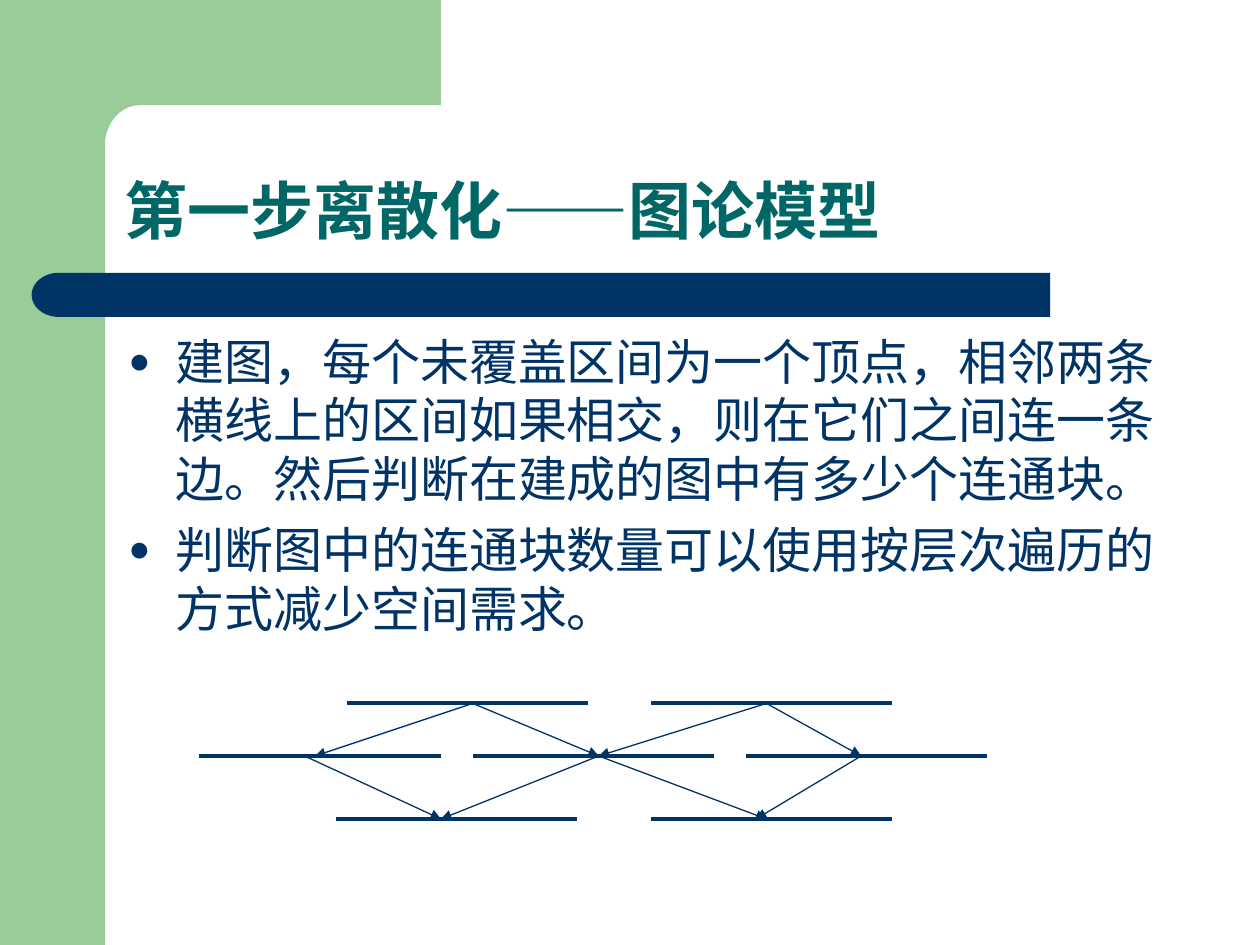
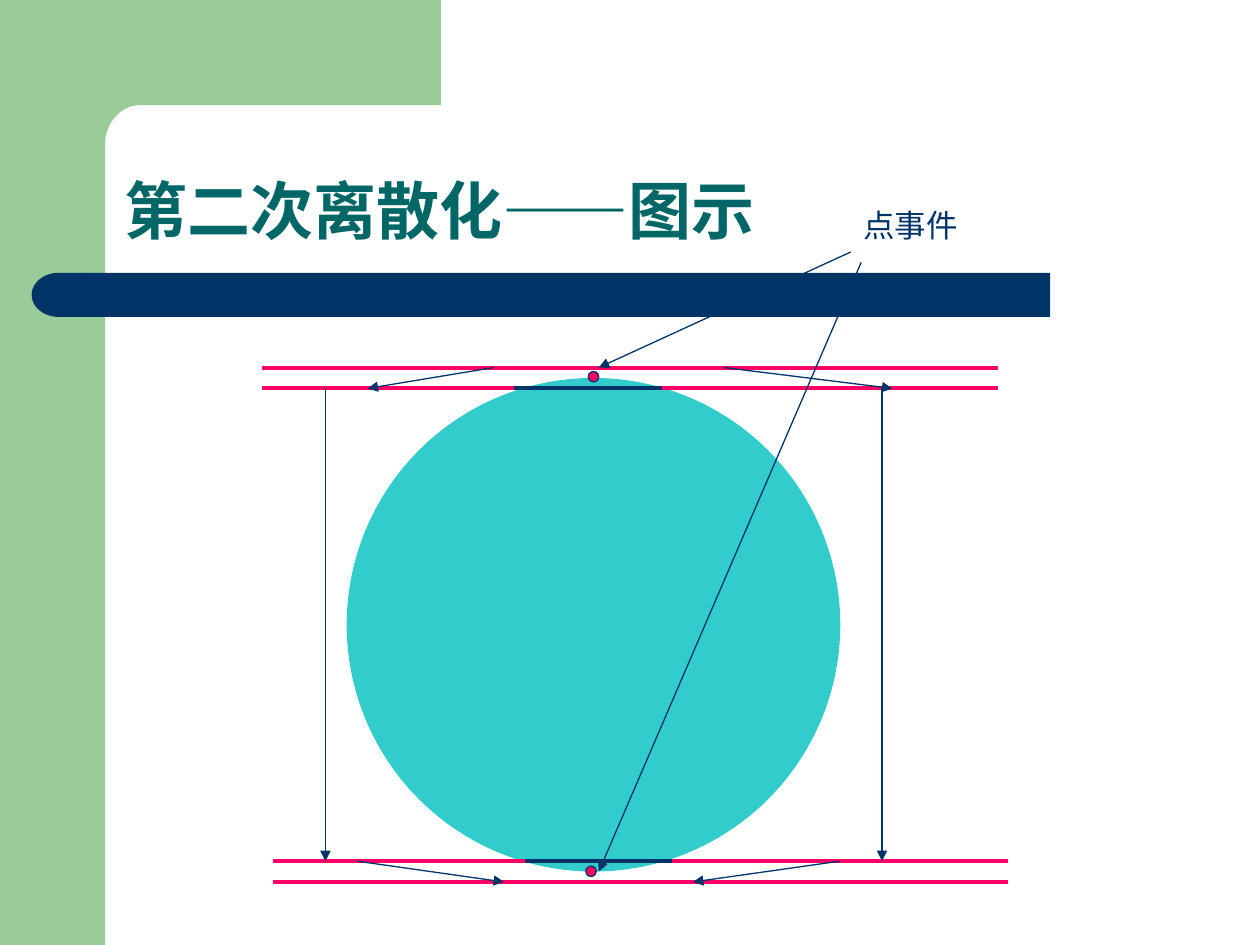
from math import cos, pi, sin

from lxml.etree import SubElement
from pptx import Presentation
from pptx.dml.color import RGBColor
from pptx.enum.shapes import MSO_CONNECTOR, MSO_SHAPE as Preset
from pptx.enum.text import MSO_ANCHOR as Anchor
from pptx.oxml.ns import qn
from pptx.util import Cm, Pt

COLOURS = {
    "green": "99CC99",
    "navy": "003366",
    "title": "006666",
    "disc": "33CCCC",
    "pink": "FF0066",
}
FONT = "Arial"
THICK, THIN = 2.25, 0.75


def paint(shape, fill, outline=None):
    shape.shadow.inherit = False
    shape.fill.solid()
    shape.fill.fore_color.rgb = RGBColor.from_string(COLOURS[fill])
    if outline:
        shape.line.color.rgb = RGBColor.from_string(COLOURS[outline])
        shape.line.width = Pt(THIN)
    else:
        shape.line.fill.background()


def draw_line(page, start, end, colour="navy", arrow=False):
    """Draw a thick bar, or a thin line with an arrowhead at its end."""
    line = page.shapes.add_connector(
        MSO_CONNECTOR.STRAIGHT, *[Cm(value) for value in (*start, *end)])
    line.line.color.rgb = RGBColor.from_string(COLOURS[colour])
    line.line.width = Pt(THIN if arrow else THICK)
    if arrow:
        SubElement(line.line._get_or_add_ln(), qn("a:tailEnd"), type="triangle")
    SubElement(line._element.spPr, qn("a:effectLst"))


deck = Presentation()
deck.slide_width, deck.slide_height = Cm(25.4), Cm(19.05)
graph_page, circle_page = [
    deck.slides.add_slide(deck.slide_layouts[6]) for _ in range(2)]

# Green frame with a rounded inner corner, and the navy title band
corner_arc = [(2.82 - 0.71 * sin(step * pi / 20), 2.95 - 0.83 * cos(step * pi / 20))
              for step in range(11)]
corner_points = [(8.89, 0), (8.89, 2.12), *corner_arc,
                 (2.11, 3.25), (1.27, 3.25), (1.27, 0)]
frame_parts = [
    (Preset.RECTANGLE, (0, 0, 2.12, 19.05), "green"),
    (Preset.RECTANGLE, (1.7, 5.5, 19.47, 0.89), "navy"),
    (Preset.FLOWCHART_DELAY, (0.64, 5.5, 1.09, 0.89), "navy"),
]
for page in (graph_page, circle_page):
    for preset, place, colour in frame_parts:
        part = page.shapes.add_shape(preset, *[Cm(value) for value in place])
        paint(part, colour)
        if preset == Preset.FLOWCHART_DELAY:
            part._element.spPr.xfrm.set("flipH", "1")
    points = [(Cm(x), Cm(y)) for x, y in corner_points]
    builder = page.shapes.build_freeform(*points[0])
    builder.add_line_segments(points[1:])
    paint(builder.convert_to_shape(), "green")

# Titles, body and label: page, place, lines, size, colour, space before
title_place = (2.26, 2.26, 21.69, 2.87)
body_lines = [
    "建图，每个未覆盖区间为一个顶点，相邻两条横线上的区间如果相交，"
    "则在它们之间连一条边。然后判断在建成的图中有多少个连通块。",
    "判断图中的连通块数量可以使用按层次遍历的方式减少空间需求。",
]
texts = [
    (graph_page, title_place, ["第一步离散化——图论模型"], 36, "title", 0),
    (circle_page, title_place, ["第二次离散化——图示"], 36, "title", 0),
    (graph_page, (2.34, 6.55, 21.36, 10.34), body_lines, 28, "navy", 7),
    (circle_page, (17.15, 4.02, 3.81, 1.02), ["点事件"], 18, "navy", 11.2),
]
for page, place, lines, size, colour, space in texts:
    box = page.shapes.add_textbox(*[Cm(value) for value in place])
    frame = box.text_frame
    frame.word_wrap = True
    frame.text = "\n".join(lines)
    is_title = place == title_place
    if is_title:
        frame.vertical_anchor = Anchor.BOTTOM
    for para in frame.paragraphs:
        para.space_before = Pt(space)
        if is_title:
            para.line_spacing = 0.9
        if lines is body_lines:
            props = para._p.get_or_add_pPr()
            props.set("marL", str(Cm(0.95)))
            props.set("indent", str(-Cm(0.95)))
            bullet_colour = SubElement(props, qn("a:buClr"))
            SubElement(bullet_colour, qn("a:srgbClr"), val=COLOURS["navy"])
            SubElement(props, qn("a:buSzPct"), val="75000")
            SubElement(props, qn("a:buFont"), typeface=FONT)
            SubElement(props, qn("a:buChar"), char="●")
        for span in para.runs:
            span.font.name = FONT
            span.font.size = Pt(size)
            span.font.bold = is_title
            span.font.color.rgb = RGBColor.from_string(COLOURS[colour])

# Graph: three rows of intervals, joined where neighbours overlap
top, middle, bottom = 14.18, 15.24, 16.51
interval_width = 4.87
interval_rows = {
    top: (6.99, 13.12),
    middle: (4.02, 9.53, 15.03),
    bottom: (6.77, 13.12),
}
for y, lefts in interval_rows.items():
    for left in lefts:
        draw_line(graph_page, (left, y), (left + interval_width, y))

upper_edges = [(9.53, 6.35), (9.53, 12.07), (15.45, 12.07), (15.45, 17.36)]
lower_edges = [(6.14, 8.89), (12.07, 8.89), (12.07, 15.45), (17.36, 15.24)]
for edges, y_from, y_to in ((upper_edges, top, middle), (lower_edges, middle, bottom)):
    for x_from, x_to in edges:
        draw_line(graph_page, (x_from, y_from), (x_to, y_to), arrow=True)

# Circle between two pairs of scan lines, with a point event at each pole
disc = circle_page.shapes.add_shape(
    Preset.OVAL, Cm(6.99), Cm(7.62), Cm(9.95), Cm(9.95))
paint(disc, "disc")

above, enter, leave, below = 7.41, 7.83, 17.36, 17.78
scan_bars = [
    (above, 5.29, 20.11, "pink"),
    (enter, 5.29, 20.11, "navy"),
    (enter, 5.29, 10.37, "pink"),
    (enter, 13.34, 20.11, "pink"),
    (leave, 5.5, 20.32, "navy"),
    (leave, 5.5, 10.58, "pink"),
    (leave, 13.55, 20.32, "pink"),
    (below, 5.5, 20.32, "pink"),
]
for y, left, right, colour in scan_bars:
    draw_line(circle_page, (left, y), (right, y), colour)

for left, top_edge in ((11.86, 7.49), (11.81, 17.46)):
    event = circle_page.shapes.add_shape(
        Preset.OVAL, Cm(left), Cm(top_edge), Cm(0.21), Cm(0.21))
    paint(event, "pink", "navy")

event_arrows = [
    ((17.15, 5.08), (12.07, above)),
    ((17.36, 5.29), (12.07, 17.57)),
    ((9.95, above), (7.41, enter)),
    ((14.6, above), (17.99, enter)),
    ((17.78, enter), (17.78, leave)),
    ((6.56, enter), (6.56, leave)),
    ((7.2, leave), (10.16, below)),
    ((16.93, leave), (13.97, below)),
]
for start, end in event_arrows:
    draw_line(circle_page, start, end, arrow=True)

# The band covers the pointers that run from the label
band = next(shape for shape in circle_page.shapes
            if shape.width == Cm(19.47))
circle_page.shapes._spTree.append(band._element)

deck.save("out.pptx")
